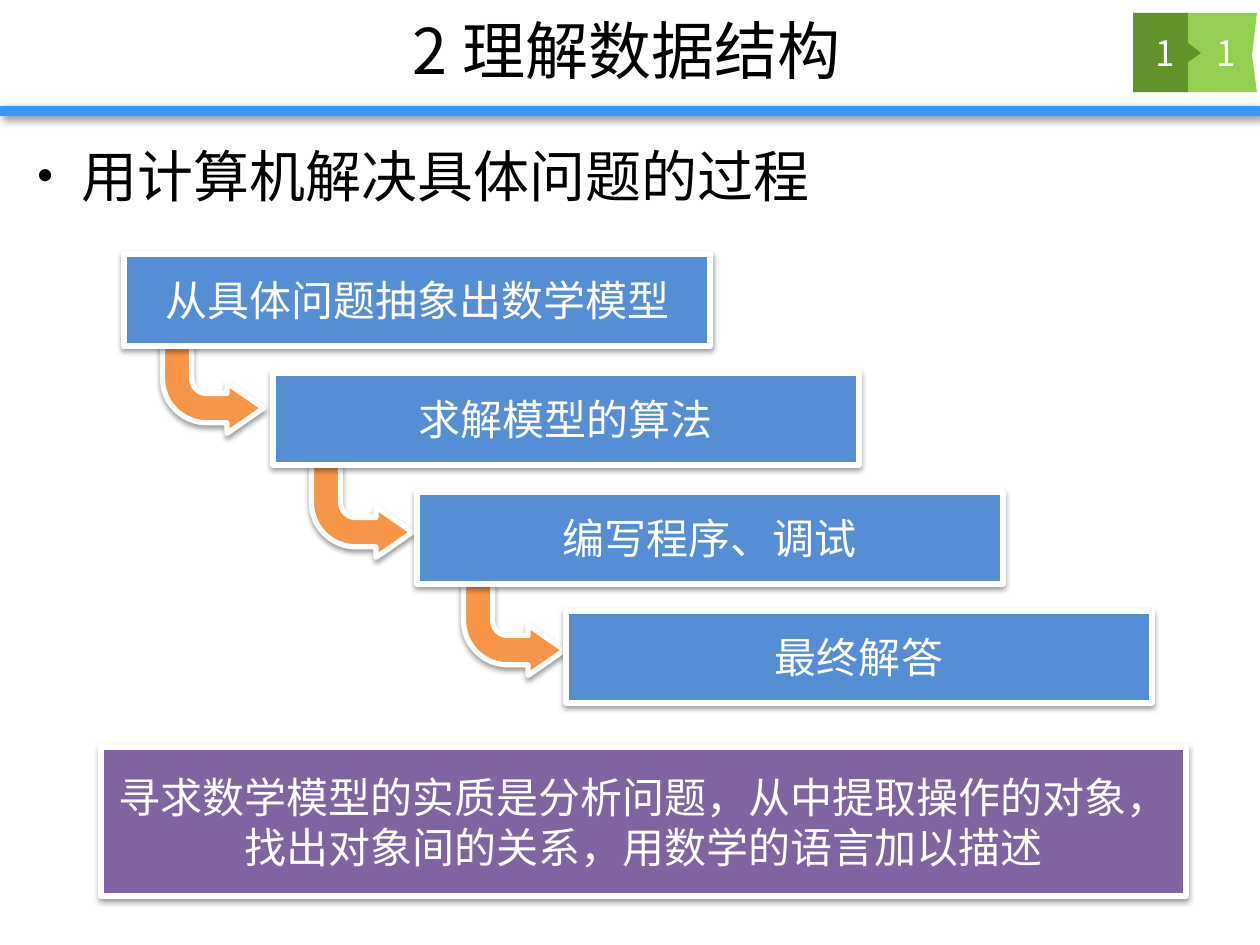
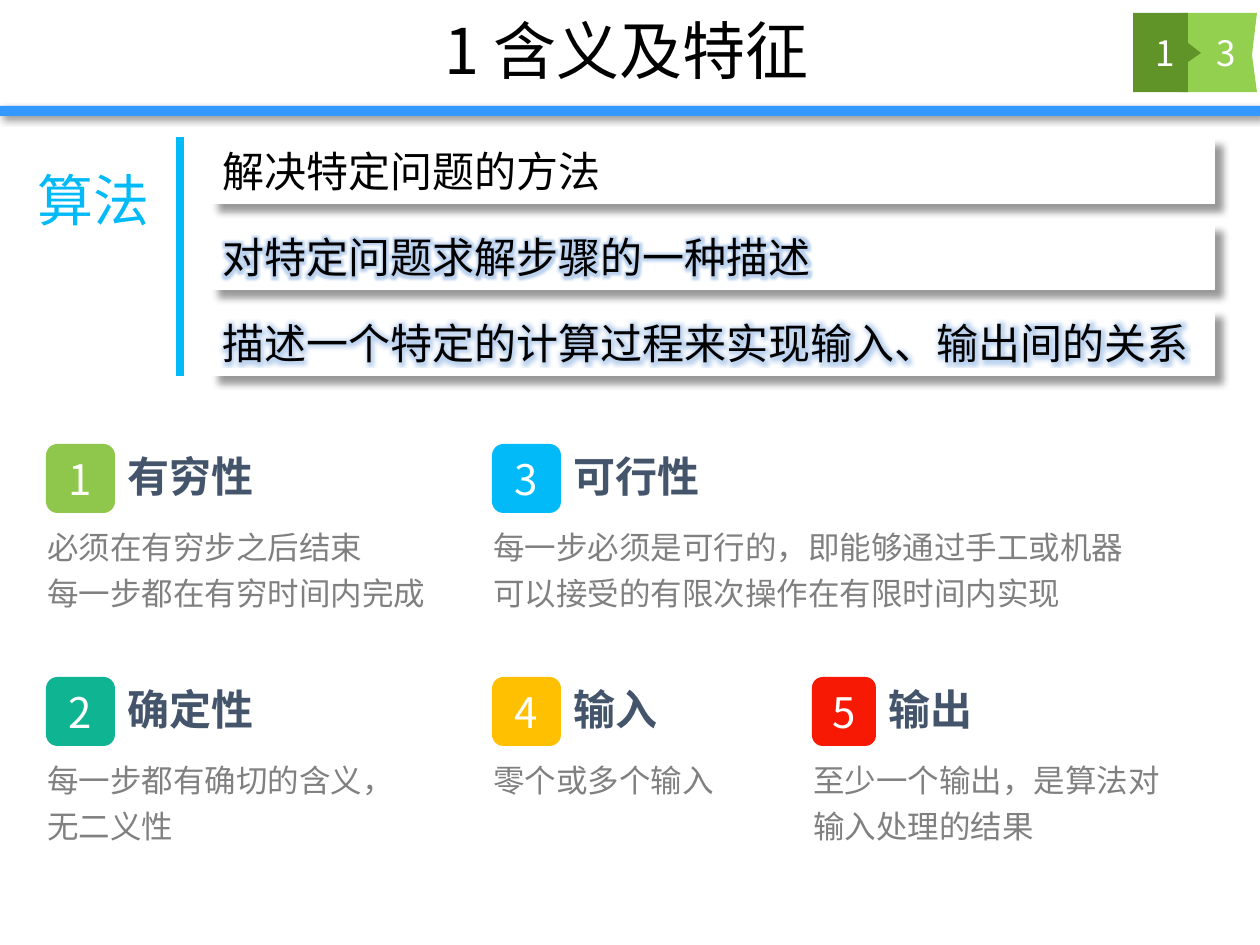
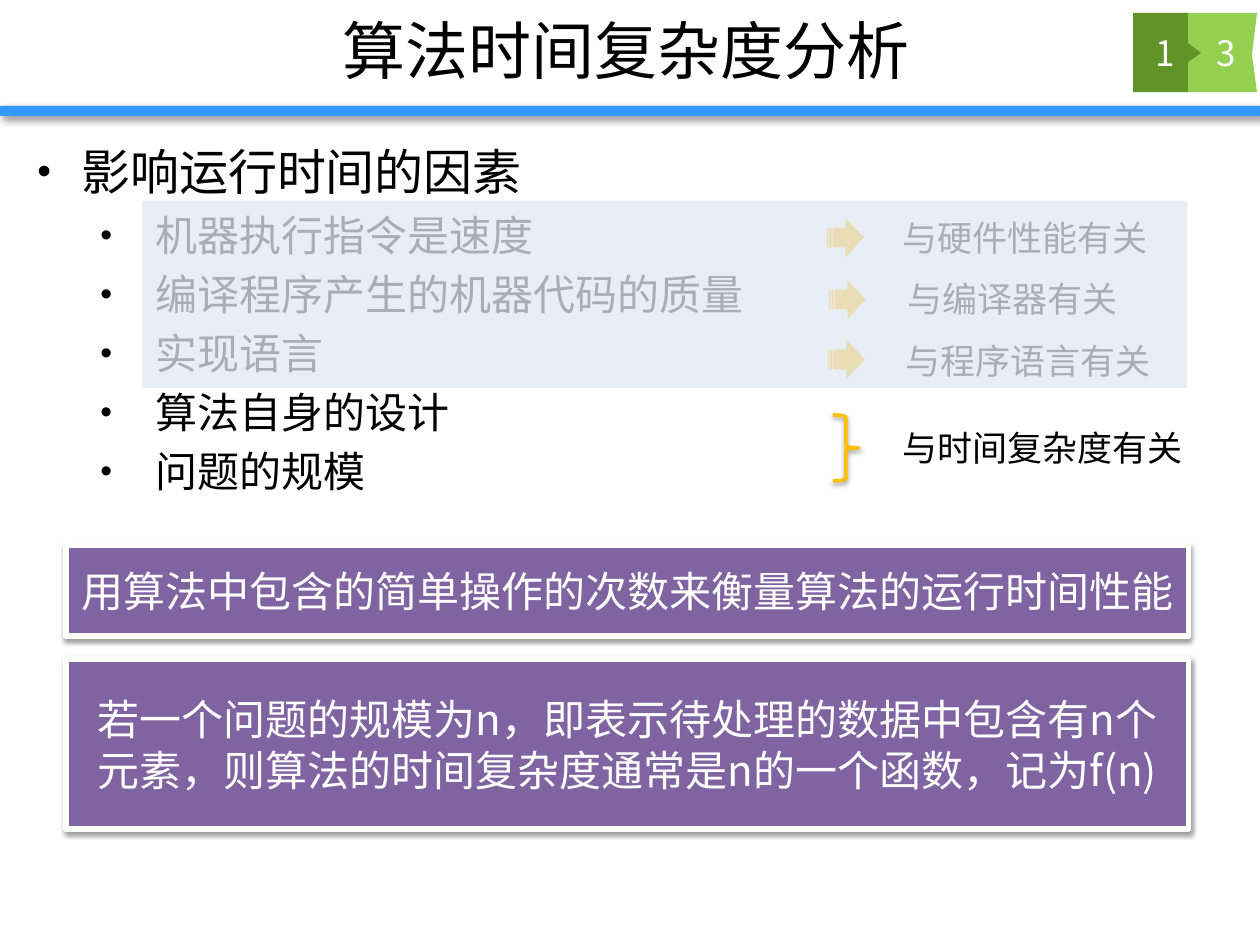
from dataclasses import dataclass
from typing import NamedTuple, Optional

import pptx
import pptx.dml.color
import pptx.enum.shapes
import pptx.enum.text
import pptx.oxml.ns
import pptx.oxml.xmlchemy
import pptx.util
from lxml import etree
from pptx.presentation import Presentation
from pptx.shapes.autoshape import Shape
from pptx.slide import Slide

EMU_PER_PX = 914400 / 126
qn = pptx.oxml.ns.qn
MSO = pptx.enum.shapes.MSO_SHAPE
ALIGN = pptx.enum.text.PP_ALIGN
ANCHOR = pptx.enum.text.MSO_ANCHOR


class Box(NamedTuple):
    left: int
    top: int
    width: int
    height: int


class Shadow(NamedTuple):
    alpha: int
    blur: float
    distance: float
    angle: int


@dataclass(frozen=True)
class TextStyle:
    """Leading is a multiple of the size; None keeps the font's own."""
    size: int
    color: str
    align: ALIGN = ALIGN.LEFT
    anchor: ANCHOR = ANCHOR.TOP
    leading: Optional[float] = None
    bold: bool = False
    wrap: bool = True


@dataclass(frozen=True)
class Theme:
    font: str = "Noto Sans CJK SC"
    black: str = "000000"
    white: str = "FFFFFF"
    band: str = "3399FF"
    chapter: str = "619428"
    section: str = "93D050"
    step: str = "558ED5"
    turn: str = "F79646"
    conclusion: str = "8064A2"
    accent: str = "02BAF8"
    amber: str = "FFC001"
    veil: str = "E2E8F2"
    heading: str = "44546A"
    detail: str = "808080"
    green: str = "8FC74D"
    teal: str = "0FB493"
    red: str = "F71903"
    leading: float = 1.21
    loose_leading: float = 1.46
    outline: float = 3
    band_shadow: Shadow = Shadow(40, 4, 3, 45)
    card_shadow: Shadow = Shadow(38, 3.1, 1.6, 90)
    row_shadow: Shadow = Shadow(40, 4, 6, 45)


THEME = Theme()
TITLE = TextStyle(36, THEME.black, ALIGN.CENTER, ANCHOR.MIDDLE)
BADGE = TextStyle(20, THEME.white, ALIGN.CENTER, ANCHOR.MIDDLE)
CARD = TextStyle(24, THEME.white, ALIGN.CENTER, ANCHOR.MIDDLE)
CONCLUSION = TextStyle(24, THEME.white, ALIGN.CENTER, ANCHOR.MIDDLE, THEME.leading)
TERM = TextStyle(32, THEME.accent, leading=THEME.leading)
DEFINITION = TextStyle(24, THEME.black, anchor=ANCHOR.MIDDLE)
HEADING = TextStyle(24, THEME.heading, leading=THEME.leading, bold=True, wrap=False)
DETAIL = TextStyle(18, THEME.detail, leading=THEME.loose_leading)
CAUSE = TextStyle(20, THEME.black, leading=THEME.leading)
BODY = Box(25, 135, 1221, 709)


class Bullet(NamedTuple):
    text: str
    size: int
    level: int = 0


class Step(NamedTuple):
    left: int
    text: str
    turn: Optional[Box] = None


class Definition(NamedTuple):
    text: str
    glow: bool


class Feature(NamedTuple):
    left: int
    top: int
    color: str
    heading: str
    detail: str
    detail_width: int
    tile_width: int = 69


class Factor(NamedTuple):
    arrow_left: int
    arrow_top: int
    cause_left: int
    cause_top: int
    cause: str


def px(length: float) -> pptx.util.Emu:
    return pptx.util.Emu(round(length * EMU_PER_PX))


def emu(box: Box) -> list[pptx.util.Emu]:
    return [px(length) for length in box]


def rgb(color: str) -> pptx.dml.color.RGBColor:
    return pptx.dml.color.RGBColor.from_string(color)


def add_xml(parent: etree.ElementBase, tag: str, **attributes: object) -> etree.ElementBase:
    child = etree.SubElement(parent, qn(tag))
    for key, value in attributes.items():
        child.set(key, str(value))
    return child


def add_color(parent: etree.ElementBase, color: str, alpha: int) -> None:
    add_xml(add_xml(parent, "a:srgbClr", val=color), "a:alpha", val=alpha * 1000)


def format_paragraph(paragraph, style: TextStyle) -> None:
    paragraph.alignment = style.align
    if style.leading:
        paragraph.line_spacing = pptx.util.Pt(round(style.size * style.leading, 1))
    for run in paragraph.runs:
        run.font.size = pptx.util.Pt(style.size)
        run.font.bold = style.bold
        run.font.color.rgb = rgb(style.color)
        run.font.name = THEME.font
        add_xml(run.font._element, "a:ea", typeface=THEME.font)


def write(shape: Shape, text: str, style: TextStyle) -> None:
    frame = shape.text_frame
    frame.text = text
    frame.word_wrap = style.wrap
    frame.vertical_anchor = style.anchor
    for paragraph in frame.paragraphs:
        format_paragraph(paragraph, style)


def add_label(slide: Slide, box: Box, text: str, style: TextStyle) -> None:
    write(slide.shapes.add_textbox(*emu(box)), text, style)


def paint(shape: Shape, fill: Optional[str], line: Optional[str] = None,
          line_width: float = THEME.outline, shadow: Optional[Shadow] = None) -> None:
    if fill:
        shape.fill.solid()
        shape.fill.fore_color.rgb = rgb(fill)
    else:
        shape.fill.background()
    if line:
        shape.line.color.rgb = rgb(line)
        shape.line.width = pptx.util.Pt(line_width)
    else:
        shape.line.fill.background()
    shape.shadow.inherit = False
    if shadow:
        effects = shape.element.spPr.find(qn("a:effectLst"))
        outer = add_xml(effects, "a:outerShdw", blurRad=round(shadow.blur * 12700),
                        dist=round(shadow.distance * 12700), dir=shadow.angle * 60000,
                        rotWithShape=0)
        add_color(outer, THEME.black, shadow.alpha)


def add_block(slide: Slide, kind: MSO, box: Box, fill: Optional[str], **look) -> Shape:
    block = slide.shapes.add_shape(kind, *emu(box))
    paint(block, fill, **look)
    return block


def add_card(slide: Slide, box: Box, fill: str, text: str, style: TextStyle) -> None:
    """White-framed rectangle with a soft shadow."""
    card = add_block(slide, MSO.RECTANGLE, box, fill, line=THEME.white, shadow=THEME.card_shadow)
    write(card, text, style)


def add_outline(slide: Slide, points: list[tuple[int, int]], fill: str) -> None:
    builder = slide.shapes.build_freeform(*points[0], scale=EMU_PER_PX)
    builder.add_line_segments(points[1:], close=True)
    paint(builder.convert_to_shape(), fill)


def add_bullets(slide: Slide, bullets: list[Bullet]) -> None:
    indents = [(44, 44), (118, 55)]
    frame = slide.shapes.add_textbox(*emu(BODY)).text_frame
    frame.word_wrap = True
    frame.text = "\n".join(bullet.text for bullet in bullets)
    for index, (paragraph, bullet) in enumerate(zip(frame.paragraphs, bullets)):
        margin, hanging = indents[bullet.level]
        paragraph.level = bullet.level
        properties = paragraph._p.get_or_add_pPr()
        properties.set("marL", str(px(margin)))
        properties.set("indent", str(-px(hanging)))
        add_xml(properties, "a:buSzPct", val=80000)
        add_xml(properties, "a:buFont", typeface="Arial")
        add_xml(properties, "a:buChar", char="•")
        format_paragraph(paragraph, TextStyle(bullet.size, THEME.black, leading=THEME.leading))
        if index:
            paragraph.space_before = pptx.util.Pt(round(bullet.size * 0.2, 1))


def add_base_slide(deck: Presentation, title: str, chapter: str, section: str) -> Slide:
    """Slide with the title, the blue band and the chapter badge."""
    slide = deck.slides.add_slide(deck.slide_layouts[6])
    add_block(slide, MSO.RECTANGLE, Box(0, 106, 1260, 10), THEME.band, shadow=THEME.band_shadow)
    add_outline(slide, [(1182, 13), (1257, 13), (1252, 55), (1257, 92), (1182, 92)],
                THEME.section)
    add_outline(slide, [(1133, 13), (1188, 13), (1188, 43), (1201, 53), (1188, 62),
                        (1188, 92), (1133, 92)], THEME.chapter)
    add_label(slide, Box(123, 1, 1007, 97), title, TITLE)
    for left, number in ((1187, section), (1126, chapter)):
        add_label(slide, Box(left, 13, 78, 79), number, BADGE)
    return slide


def add_turn(slide: Slide, box: Box) -> None:
    """Bent arrow that leads down from one step to the next."""
    turn = add_block(slide, MSO.U_TURN_ARROW, box, THEME.turn, line=THEME.white,
                     shadow=THEME.card_shadow)
    for index, value in enumerate((0.289, 0.25, 0.361, 0.438, 1)):
        turn.adjustments[index] = value
    turn.rotation = 270
    turn.element.spPr.xfrm.set("flipH", "1")


def add_glow(shape: Shape) -> None:
    for run in shape.text_frame.paragraphs[0].runs:
        effects = etree.Element(qn("a:effectLst"))
        add_color(add_xml(effects, "a:glow", rad=101600), THEME.step, 40)
        run.font._element.find(qn("a:solidFill")).addnext(effects)


def build_process(deck: Presentation) -> None:
    slide = add_base_slide(deck, "2 理解数据结构", "1", "1")
    add_bullets(slide, [Bullet("用计算机解决具体问题的过程", 32)])
    steps = [
        Step(124, "从具体问题抽象出数学模型", Box(136, 306, 154, 101)),
        Step(273, "求解模型的算法", Box(280, 425, 164, 101)),
        Step(417, "编写程序、调试", Box(437, 548, 154, 101)),
        Step(566, "最终解答"),
    ]
    for step in steps:
        if step.turn:
            add_turn(slide, step.turn)
    for index, step in enumerate(steps):
        add_card(slide, Box(step.left, 254 + 119 * index, 586, 92), THEME.step, step.text, CARD)
    add_card(slide, Box(101, 747, 1085, 149), THEME.conclusion,
             "寻求数学模型的实质是分析问题，从中提取操作的对象，找出对象间的关系，用数学的语言加以描述",
             CONCLUSION)


def add_feature(slide: Slide, number: int, feature: Feature) -> None:
    tile = Box(feature.left + 11, feature.top, feature.tile_width, 69)
    write(add_block(slide, MSO.ROUNDED_RECTANGLE, tile, feature.color), str(number), CARD)
    heading_width = 42 * len(feature.heading) + 26
    add_label(slide, Box(tile.left + tile.width, feature.top, heading_width, 63),
              feature.heading, HEADING)
    add_label(slide, Box(feature.left, feature.top + 70, feature.detail_width, 105),
              feature.detail, DETAIL)


def build_features(deck: Presentation) -> None:
    slide = add_base_slide(deck, "1 含义及特征", "1", "3")
    add_label(slide, Box(25, 159, 198, 81), "算法", TERM)
    divider = slide.shapes.add_connector(pptx.enum.shapes.MSO_CONNECTOR.STRAIGHT,
                                         px(180), px(137), px(180), px(376))
    divider.line.color.rgb = rgb(THEME.accent)
    divider.line.width = pptx.util.Pt(4.5)
    add_xml(divider.element.spPr, "a:effectLst")

    definitions = [
        Definition("解决特定问题的方法", False),
        Definition("对特定问题求解步骤的一种描述", True),
        Definition("描述一个特定的计算过程来实现输入、输出间的关系", True),
    ]
    for index, definition in enumerate(definitions):
        row = add_block(slide, MSO.RECTANGLE, Box(210, 137 + 86 * index, 1005, 67),
                        THEME.white, shadow=THEME.row_shadow)
        write(row, definition.text, DEFINITION)
        if definition.glow:
            add_glow(row)

    upper, lower = 444, 677
    features = [
        Feature(35, upper, THEME.green, "有穷性",
                "必须在有穷步之后结束\n每一步都在有穷时间内完成", 417),
        Feature(35, lower, THEME.teal, "确定性", "每一步都有确切的含义，无二义性", 389),
        Feature(481, upper, THEME.accent, "可行性",
                "每一步必须是可行的，即能够通过手工或机器可以接受的有限次操作在有限时间内实现", 669),
        Feature(481, lower, THEME.amber, "输入", "零个或多个输入", 389),
        Feature(801, lower, THEME.red, "输出", "至少一个输出，是算法对输入处理的结果", 389, 64),
    ]
    for number, feature in enumerate(features, start=1):
        add_feature(slide, number, feature)


def build_complexity(deck: Presentation) -> None:
    slide = add_base_slide(deck, "算法时间复杂度分析", "1", "3")
    factors = ["机器执行指令是速度", "编译程序产生的机器代码的质量", "实现语言",
               "算法自身的设计", "问题的规模"]
    add_bullets(slide, [Bullet("影响运行时间的因素", 28)]
                + [Bullet(factor, 24, 1) for factor in factors])

    add_label(slide, Box(890, 420, 310, 55), "与时间复杂度有关", CAUSE)
    add_block(slide, MSO.RIGHT_BRACE, Box(833, 415, 26, 66), None, line=THEME.amber,
              line_width=2, shadow=THEME.card_shadow)
    for factor in (
        Factor(827, 218, 890, 210, "与硬件性能有关"),
        Factor(829, 280, 895, 271, "与编译器有关"),
        Factor(828, 340, 893, 333, "与程序语言有关"),
    ):
        add_label(slide, Box(factor.cause_left, factor.cause_top, 310, 55), factor.cause, CAUSE)
        arrow = add_block(slide, MSO.STRIPED_RIGHT_ARROW,
                          Box(factor.arrow_left, factor.arrow_top, 37, 39), THEME.amber)
        arrow.adjustments[0] = 0.507

    veil = add_block(slide, MSO.RECTANGLE, Box(142, 201, 1045, 187), THEME.veil)
    add_xml(veil.element.spPr.find(qn("a:solidFill"))[0], "a:alpha", val=75000)

    add_card(slide, Box(66, 659, 1123, 170), THEME.conclusion,
             "若一个问题的规模为n，即表示待处理的数据中包含有n个元素，"
             "则算法的时间复杂度通常是n的一个函数，记为f(n)", CONCLUSION)
    add_card(slide, Box(66, 545, 1123, 91), THEME.conclusion,
             "用算法中包含的简单操作的次数来衡量算法的运行时间性能", CONCLUSION)


def main() -> None:
    deck = pptx.Presentation()
    deck.slide_width, deck.slide_height = px(1260), px(945)
    build_process(deck)
    build_features(deck)
    build_complexity(deck)
    deck.save("out.pptx")


if __name__ == "__main__":
    main()
